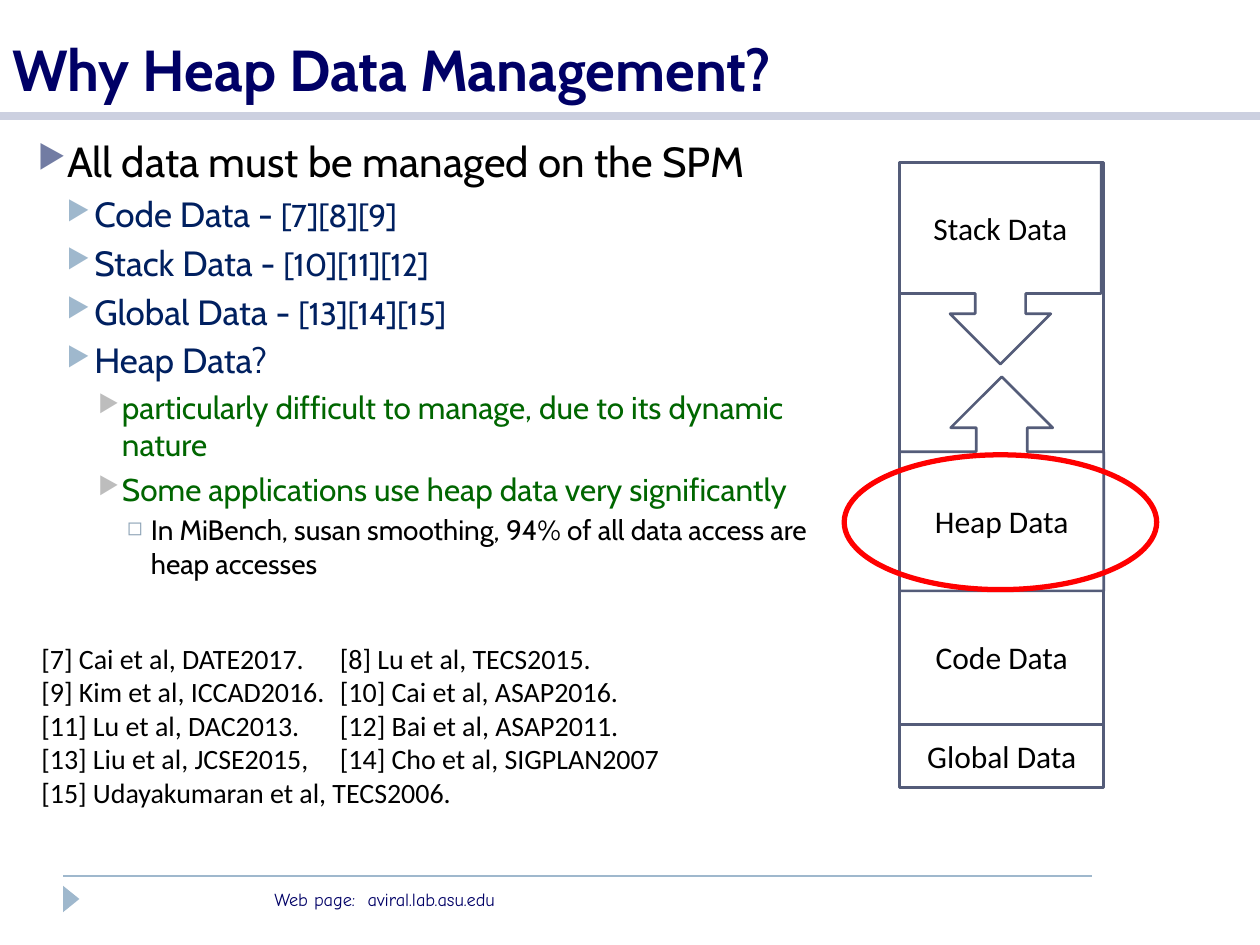
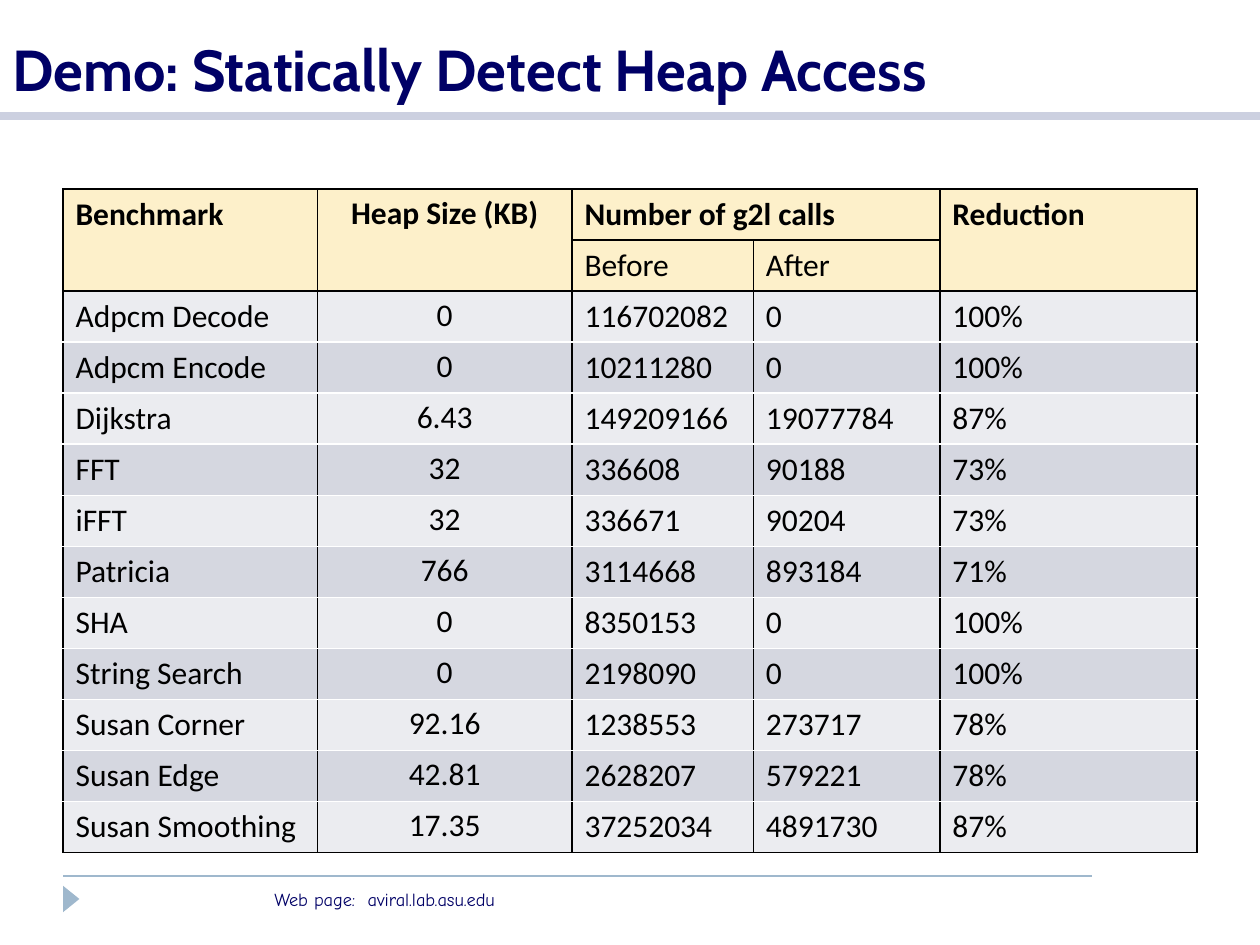
"""Build two slides on heap data management: motivation and benchmark results."""
from dataclasses import dataclass

from lxml import etree
from pptx import Presentation
from pptx import util as u
from pptx.dml.color import RGBColor
from pptx.enum import shapes, text
from pptx.oxml.ns import qn

COLORS = {
    "navy": "000066", "black": "000000", "white": "FFFFFF", "rule": "9FB8CD",
    "band": "CCD0E0", "outline": "545C79", "red": "FF0000", "blue": "002060",
    "green": "006600", "bullet": "727CA3", "gray": "BDBDBD", "steel": "8CA2B5",
    "header": "FDF0CA", "light": "EBECF0", "dark": "D5D7E0",
}
TITLE_FONT, BODY_FONT, FOOTER_FONT = "Cabin", "Calibri", "Comic Neue"
ALIGN, ANCHOR, SHAPE = text.PP_ALIGN, text.MSO_ANCHOR, shapes.MSO_SHAPE


@dataclass(frozen=True)
class Level:
    size: float
    color: str
    indent: float
    hang: float
    before: float
    char: str
    char_color: str
    char_pct: int


@dataclass(frozen=True)
class Item:
    level: int
    words: str
    refs: str = ""


@dataclass(frozen=True)
class Block:
    kind: shapes.MSO_SHAPE
    left: float
    top: float
    width: float
    height: float
    words: str = ""
    fill: str | None = "white"
    line: str | None = "outline"
    weight: float = 1.5
    rotation: float = 0


LEVELS = [
    Level(24, "black", 0.22, 0.22, 4.5, "▶", "bullet", 76),
    Level(20, "blue", 0.45, 0.22, 3.8, "▶", "rule", 76),
    Level(18, "green", 0.67, 0.19, 3.8, "▶", "gray", 76),
    Level(16, "black", 0.9, 0.19, 3, "◻", "steel", 70),
]
ITEMS = [
    Item(0, "All data must be managed on the SPM"),
    Item(1, "Code Data - ", "[7][8][9]"),
    Item(1, "Stack Data - ", "[10][11][12]"),
    Item(1, "Global Data - ", "[13][14][15]"),
    Item(1, "Heap Data?"),
    Item(2, "particularly difficult to manage, due to its dynamic nature"),
    Item(2, "Some applications use heap data very significantly"),
    Item(3, "In MiBench, susan smoothing, 94% of all data access are heap accesses"),
]
REFERENCES = [
    "[7] Cai et al, DATE2017.\t[8] Lu et al, TECS2015.",
    "[9] Kim et al, ICCAD2016.\t[10] Cai et al, ASAP2016.",
    "[11] Lu et al, DAC2013.\t[12] Bai et al, ASAP2011.",
    "[13] Liu et al, JCSE2015,\t[14] Cho et al, SIGPLAN2007",
    "[15] Udayakumaran et al, TECS2006.",
]
MEMORY = [
    Block(SHAPE.RECTANGLE, 7.14, 5.75, 1.62, 0.5, "Global Data"),
    Block(SHAPE.RECTANGLE, 7.14, 4.68, 1.62, 1.07, "Code Data"),
    Block(SHAPE.RECTANGLE, 7.14, 1.29, 1.62, 3.39),
    Block(SHAPE.DOWN_ARROW_CALLOUT, 7.14, 1.29, 1.6, 1.6, "Stack Data"),
    Block(SHAPE.UP_ARROW_CALLOUT, 7.14, 2.99, 1.62, 1.7, "Heap Data"),
    Block(SHAPE.OVAL, 6.7, 3.61, 2.48, 1.07, fill=None, line="red", weight=3),
]
FOOTER_MARK = Block(SHAPE.ISOSCELES_TRIANGLE, 0.46, 7.07, 0.21, 0.13,
                    fill="rule", line=None, rotation=90)

COLUMN_WIDTHS = [2.02, 2.02, 1.44, 1.48, 2.04]
HEADERS = [
    ["Benchmark", "Heap Size (KB)", "Number of g2l calls", "", "Reduction"],
    ["", "", "Before", "After", ""],
]
MERGES = [((0, 0), (1, 0)), ((0, 1), (1, 1)), ((0, 2), (0, 3)), ((0, 4), (1, 4))]
RESULTS = [
    ["Adpcm Decode", "0", "116702082", "0", "100%"],
    ["Adpcm Encode", "0", "10211280", "0", "100%"],
    ["Dijkstra", "6.43", "149209166", "19077784", "87%"],
    ["FFT", "32", "336608", "90188", "73%"],
    ["iFFT", "32", "336671", "90204", "73%"],
    ["Patricia", "766", "3114668", "893184", "71%"],
    ["SHA", "0", "8350153", "0", "100%"],
    ["String Search", "0", "2198090", "0", "100%"],
    ["Susan Corner", "92.16", "1238553", "273717", "78%"],
    ["Susan Edge", "42.81", "2628207", "579221", "78%"],
    ["Susan Smoothing", "17.35", "37252034", "4891730", "87%"],
]


def rgb(name: str) -> RGBColor:
    return RGBColor.from_string(COLORS[name])


def set_font(font, name: str, size: float, color: str, bold: bool = False) -> None:
    font.name, font.size, font.bold = name, u.Pt(size), bold
    font.color.rgb = rgb(color)


def add_xml(parent, tag: str, **attrs):
    return etree.SubElement(parent, qn(tag), {k: str(v) for k, v in attrs.items()})


def add_tab(p, position: float) -> None:
    tabs = add_xml(p._p.get_or_add_pPr(), "a:tabLst")
    add_xml(tabs, "a:tab", pos=u.Inches(position), algn="l")


def add_bullet(p, level: Level) -> None:
    ppr = p._p.get_or_add_pPr()
    ppr.set("marL", str(u.Inches(level.indent)))
    ppr.set("indent", str(-u.Inches(level.hang)))
    add_xml(add_xml(ppr, "a:buClr"), "a:srgbClr", val=COLORS[level.char_color])
    add_xml(ppr, "a:buSzPct", val=level.char_pct * 1000)
    add_xml(ppr, "a:buChar", char=level.char)


def add_box(s, left: float, top: float, width: float, height: float):
    tf = s.shapes.add_textbox(*map(u.Inches, (left, top, width, height))).text_frame
    tf.word_wrap = True
    return tf


def next_paragraph(tf, index: int):
    return tf.add_paragraph() if index else tf.paragraphs[0]


def add_rule(s, left: float, right: float, y: float, color: str, weight: float) -> None:
    line = s.shapes.add_connector(shapes.MSO_CONNECTOR.STRAIGHT,
                                  *map(u.Inches, (left, y, right, y)))
    line.line.color.rgb, line.line.width = rgb(color), u.Pt(weight)
    add_xml(line._element.spPr, "a:effectLst")


def add_block(s, block: Block) -> None:
    sp = s.shapes.add_shape(block.kind, *map(u.Inches, (
        block.left, block.top, block.width, block.height)))
    sp.shadow.inherit = False
    sp.rotation = block.rotation
    if block.fill:
        sp.fill.solid()
        sp.fill.fore_color.rgb = rgb(block.fill)
    else:
        sp.fill.background()
    if block.line:
        sp.line.color.rgb, sp.line.width = rgb(block.line), u.Pt(block.weight)
    else:
        sp.line.fill.background()
    if block.words:
        tf = sp.text_frame
        tf.vertical_anchor = ANCHOR.MIDDLE
        p = tf.paragraphs[0]
        p.text, p.alignment = block.words, ALIGN.CENTER
        set_font(p.font, BODY_FONT, 18, "black")


def add_slide(prs, title: str):
    s = prs.slides.add_slide(prs.slide_layouts[6])
    add_rule(s, 0.5, 8.67, 6.95, "rule", 1)
    add_rule(s, 0, 10, 0.92, "band", 5)
    add_block(s, FOOTER_MARK)
    p = add_box(s, 2.08, 7, 3.75, 0.28).paragraphs[0]
    p.text = "Web page:\taviral.lab.asu.edu"
    add_tab(p, 0.74)
    set_font(p.font, FOOTER_FONT, 10.5, "navy")
    tf = add_box(s, 0, 0, 10, 0.87)
    tf.vertical_anchor = ANCHOR.BOTTOM
    p = tf.paragraphs[0]
    p.text = title
    set_font(p.font, TITLE_FONT, 33, "navy", True)
    return s


def add_outline(s, items: list[Item]) -> None:
    tf = add_box(s, 0.2, 1.03, 6.56, 4.37)
    for i, item in enumerate(items):
        p, level = next_paragraph(tf, i), LEVELS[item.level]
        p.level = item.level
        add_bullet(p, level)
        if i:
            p.space_before = u.Pt(level.before)
        set_font(p.font, TITLE_FONT, level.size, level.color)
        p.add_run().text = item.words
        if item.refs:
            r = p.add_run()
            r.text, r.font.size = item.refs, u.Pt(18)


def add_references(s, references: list[str]) -> None:
    tf = add_box(s, 0.23, 5.04, 6.7, 1.48)
    for i, reference in enumerate(references):
        p = next_paragraph(tf, i)
        p.text = reference
        add_tab(p, 2.37)
        set_font(p.font, BODY_FONT, 16, "black")


def set_borders(cell, top: str, bottom: str) -> None:
    sides = {"a:lnL": "black", "a:lnR": "black", "a:lnT": top, "a:lnB": bottom}
    for tag, color in sides.items():
        line = add_xml(cell._tc.get_or_add_tcPr(), tag, w=u.Pt(1))
        add_xml(add_xml(line, "a:solidFill"), "a:srgbClr", val=COLORS[color])


def add_results(s) -> None:
    rows = HEADERS + RESULTS
    heads, last = len(HEADERS), len(rows) - 1
    table = s.shapes.add_table(len(rows), len(COLUMN_WIDTHS), *map(
        u.Inches, (0.5, 1.5, 9, 5.27))).table
    table.first_row = table.horz_banding = False
    for column, width in zip(table.columns, COLUMN_WIDTHS):
        column.width = u.Inches(width)
    for i, row in enumerate(rows):
        fill = "header" if i < heads else ("light", "dark")[(i - heads) % 2]
        top = "black" if i <= heads else "white"
        bottom = "black" if i < heads or i == last else "white"
        for j, words in enumerate(row):
            cell = table.cell(i, j)
            set_borders(cell, top, bottom)
            cell.fill.solid()
            cell.fill.fore_color.rgb = rgb(fill)
            p = cell.text_frame.paragraphs[0]
            p.text = words
            set_font(p.font, BODY_FONT, 18, "black", i == 0)
            if j == 1:
                p.alignment = ALIGN.CENTER
                cell.margin_left = cell.margin_right = u.Inches(0.07)
                cell.margin_top = cell.margin_bottom = u.Inches(0.04)
    for start, end in MERGES:
        table.cell(*start).merge(table.cell(*end))


def main() -> None:
    prs = Presentation()
    prs.slide_width, prs.slide_height = u.Inches(10), u.Inches(7.5)
    s = add_slide(prs, "Why Heap Data Management?")
    add_outline(s, ITEMS)
    for block in MEMORY:
        add_block(s, block)
    add_references(s, REFERENCES)
    add_results(add_slide(prs, "Demo: Statically Detect Heap Access"))
    prs.save("out.pptx")


if __name__ == "__main__":
    main()
